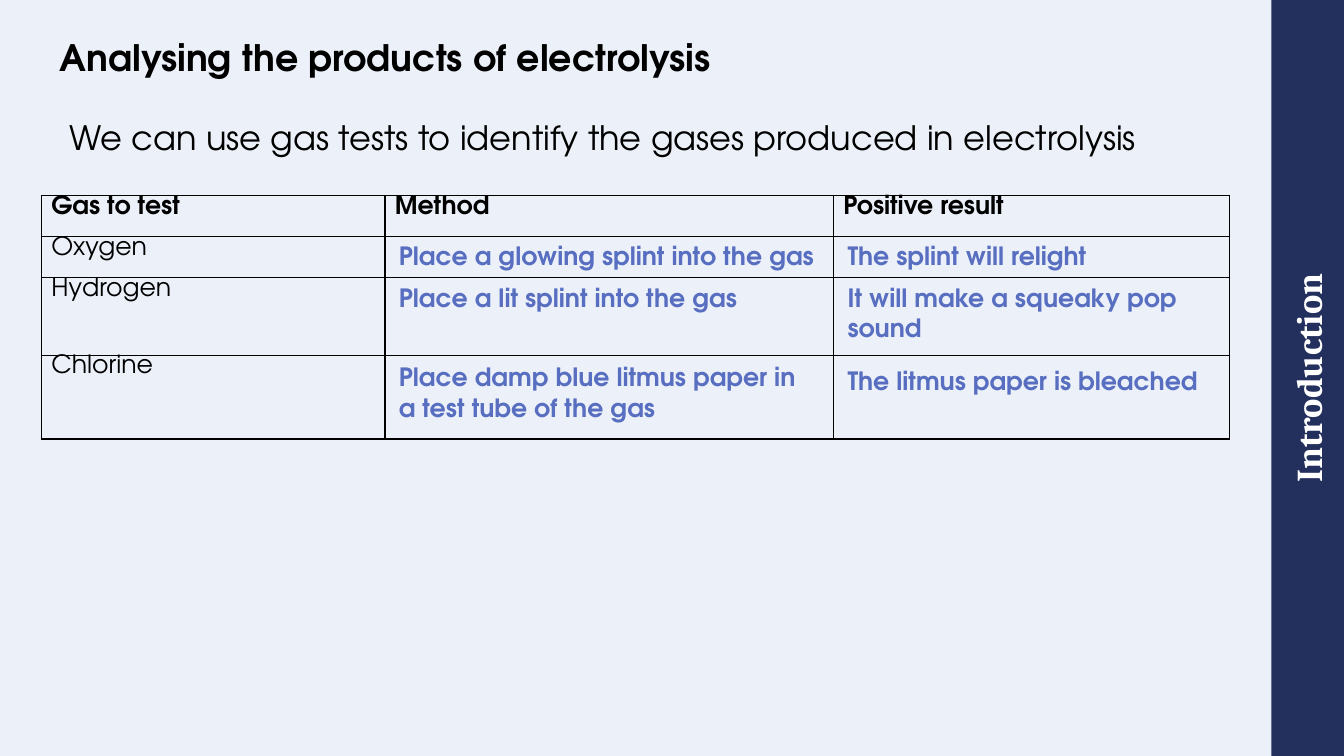
from lxml.etree import SubElement
from pptx import Presentation
from pptx.dml.color import RGBColor
from pptx.enum.shapes import MSO_SHAPE as Shape
from pptx.enum.text import MSO_ANCHOR as Anchor, MSO_AUTO_SIZE as AutoSize, PP_ALIGN as Align
from pptx.oxml import parse_xml
from pptx.oxml.ns import nsdecls, qn
from pptx.util import Cm, Pt

BLACK = RGBColor(0x00, 0x00, 0x00)
WHITE = RGBColor(0xFF, 0xFF, 0xFF)
PALE = RGBColor(0xEC, 0xF1, 0xF9)
NAVY = RGBColor(0x23, 0x2F, 0x5D)
BLUE = RGBColor(0x58, 0x6E, 0xC0)
FONT = "TeX Gyre Adventor"

TITLE = "Analysing the products of electrolysis"
INTRO = "We can use gas tests to identify the gases produced in electrolysis"
SECTION = "Introduction"
HEADINGS = ["Gas to test", "Method", "Positive result"]
GASES = ["Oxygen", "Hydrogen", "Chlorine"]
METHOD_LEFT, RESULT_LEFT = 9.8, 21.11
ANSWERS = [
    ("Place a glowing splint into the gas", METHOD_LEFT, 5.94, 11.07, 1.02, False),
    ("Place damp blue litmus paper in a test tube of the gas", METHOD_LEFT, 8.99, 11.07, 1.8, True),
    ("Place a lit splint into the gas", METHOD_LEFT, 6.98, 9.12, 1.02, False),
    ("The splint will relight", RESULT_LEFT, 5.94, 6.6, 1.02, False),
    ("It will make a squeaky pop sound", RESULT_LEFT, 6.98, 9.91, 1.8, True),
    ("The litmus paper is bleached", RESULT_LEFT, 9.07, 9.91, 1.02, True),
]
COLUMN_WIDTHS = [8.66, 11.3, 9.98]
ROW_HEIGHTS = [1.03, 1.03, 1.96, 2.11]
TABLE_LEFT, TABLE_TOP = 1.04, 4.93
SLIDE_WIDTH, SLIDE_HEIGHT, BAR_WIDTH = 33.87, 19.05, 1.83


def apply(target, values):
    for name, value in values.items():
        setattr(target, name, value)


def write(frame, text, size, color, bold=False, font=FONT):
    para = frame.paragraphs[0]
    span = para.add_run()
    span.text = text
    apply(span.font, {"name": font, "size": Pt(size), "bold": bold})
    span.font.color.rgb = color
    return para


def place(shape, left, top, width, height):
    apply(shape, {"left": Cm(left), "top": Cm(top), "width": Cm(width), "height": Cm(height)})


def clear_insets(frame):
    apply(frame, {f"margin_{side}": 0 for side in ("left", "top", "right", "bottom")})


def add_text(page, text, left, top, width, height, wrap, size=18, color=BLUE, bold=True):
    box = page.shapes.add_textbox(Cm(left), Cm(top), Cm(width), Cm(height))
    apply(box.text_frame, {"word_wrap": wrap, "auto_size": AutoSize.SHAPE_TO_FIT_TEXT})
    write(box.text_frame, text, size, color, bold)


def add_borders(cell):
    properties = cell._tc.get_or_add_tcPr()
    for index, side in enumerate(("L", "R", "T", "B")):
        line = parse_xml(f'<a:ln{side} {nsdecls("a")} w="{Pt(1)}"/>')
        fill = SubElement(line, qn("a:solidFill"))
        SubElement(fill, qn("a:srgbClr"), val=str(BLACK))
        properties.insert(index, line)


def add_gas_table(page):
    rows = [HEADINGS] + [[gas, "", ""] for gas in GASES]
    table = page.shapes.add_table(
        len(rows), len(HEADINGS), Cm(TABLE_LEFT), Cm(TABLE_TOP),
        Cm(sum(COLUMN_WIDTHS)), Cm(sum(ROW_HEIGHTS))).table
    apply(table, {"first_row": False, "horz_banding": False})
    for column, width in zip(table.columns, COLUMN_WIDTHS):
        column.width = Cm(width)
    for row_index, (row, height) in enumerate(zip(rows, ROW_HEIGHTS)):
        table.rows[row_index].height = Cm(height)
        for column_index, text in enumerate(row):
            cell = table.cell(row_index, column_index)
            apply(cell, {"margin_top": 0, "margin_bottom": 0})
            cell.fill.background()
            add_borders(cell)
            if text:
                write(cell.text_frame, text, 18, BLACK, row_index == 0)


def add_section_bar(page):
    center = SLIDE_WIDTH - BAR_WIDTH / 2
    bar = page.shapes.add_shape(
        Shape.RECTANGLE, Cm(center - SLIDE_HEIGHT / 2), Cm((SLIDE_HEIGHT - BAR_WIDTH) / 2),
        Cm(SLIDE_HEIGHT), Cm(BAR_WIDTH))
    bar.rotation = 270
    bar.shadow.inherit = False
    bar.fill.solid()
    bar.fill.fore_color.rgb = NAVY
    bar.line.fill.background()
    clear_insets(bar.text_frame)
    bar.text_frame.vertical_anchor = Anchor.MIDDLE
    write(bar.text_frame, SECTION, 26, WHITE, True, "Cambria").alignment = Align.CENTER


def main():
    """Build the slide on gas tests for electrolysis products."""
    deck = Presentation()
    apply(deck, {"slide_width": Cm(SLIDE_WIDTH), "slide_height": Cm(SLIDE_HEIGHT)})
    page = deck.slides.add_slide(deck.slide_layouts[5])
    page.background.fill.solid()
    page.background.fill.fore_color.rgb = PALE
    add_section_bar(page)

    title = page.shapes.title
    place(title, 1.5, 0, 29.49, 2.01)
    clear_insets(title.text_frame)
    apply(title.text_frame, {"vertical_anchor": Anchor.BOTTOM, "word_wrap": True,
                             "auto_size": AutoSize.NONE})
    para = write(title.text_frame, TITLE, 26, BLACK, True)
    apply(para, {"alignment": Align.LEFT, "line_spacing": 0.9})

    add_text(page, INTRO, 1.5, 2.82, 27.76, 1.27, False, 24, BLACK, False)
    add_gas_table(page)
    for answer in ANSWERS:
        add_text(page, *answer)
    deck.save("out.pptx")


if __name__ == "__main__":
    main()
